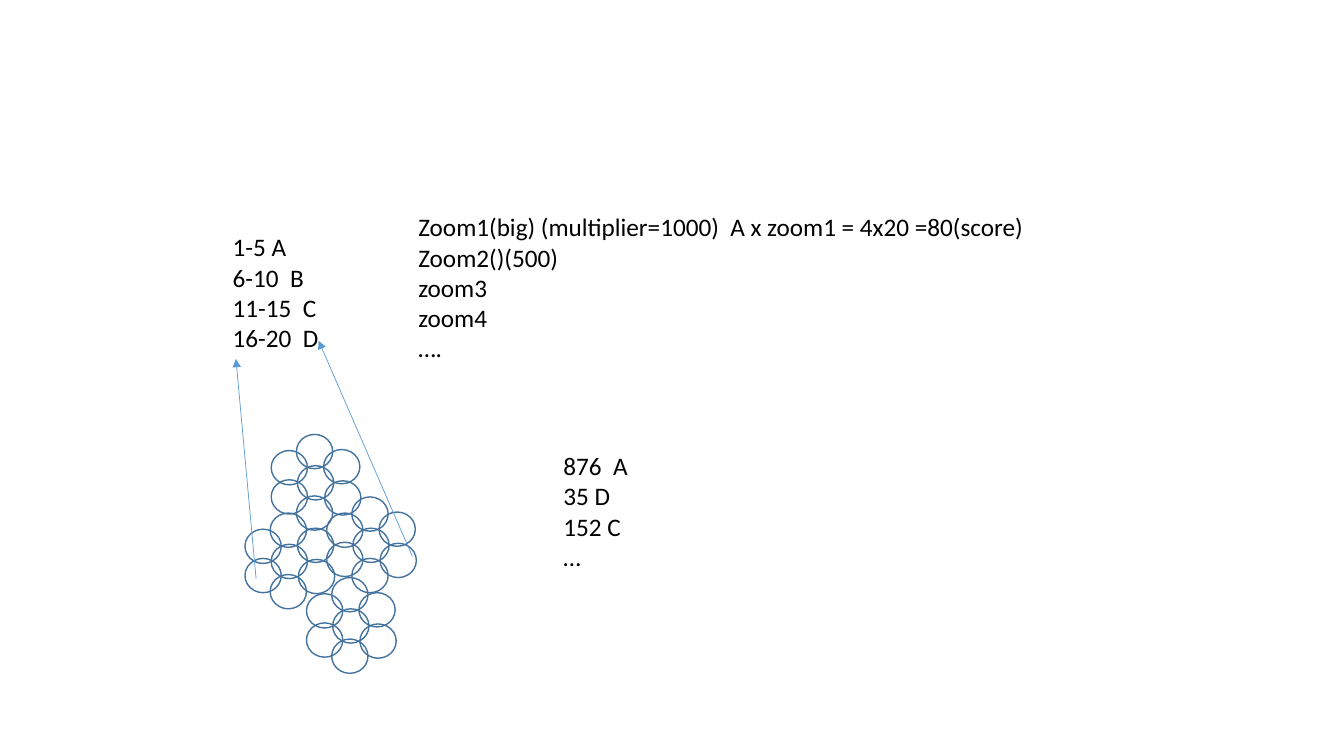
from pptx import Presentation
from pptx.dml.color import RGBColor
from pptx.enum import shapes, text
from pptx.oxml import parse_xml
from pptx.oxml.ns import nsdecls, qn
from pptx.util import Inches, Pt

BLACK = RGBColor(0x00, 0x00, 0x00)
CIRCLE_BLUE = RGBColor(0x43, 0x73, 0x9E)
ARROW_BLUE = RGBColor(0x5B, 0x9B, 0xD5)

presentation = Presentation()
presentation.slide_width = Inches(13.33)
presentation.slide_height = Inches(7.5)
slide = presentation.slides.add_slide(presentation.slide_layouts[6])

cluster_origins = [(2.94, 4.31), (2.68, 5.09), (3.49, 4.93), (3.29, 5.73)]
circle_offsets = [(0, 0), (0, 0.61), (0.01, 0.31), (0.27, 0.15),
                  (0.28, 0.46), (-0.25, 0.16), (-0.25, 0.45)]

for left, top in cluster_origins:
    cluster = slide.shapes.add_group_shape()
    for across, down in circle_offsets:
        circle = cluster.shapes.add_shape(
            shapes.MSO_SHAPE.OVAL, Inches(left + across), Inches(top + down),
            Inches(0.36), Inches(0.34))
        circle.shadow.inherit = False
        circle.fill.background()
        circle.line.color.rgb = CIRCLE_BLUE
        circle.line.width = Pt(1)

arrows = [(2.54, 5.74, 2.34, 3.56), (4.09, 5.52, 3.16, 3.38)]
for ends in arrows:
    arrow = slide.shapes.add_connector(
        shapes.MSO_CONNECTOR.STRAIGHT, *[Inches(end) for end in ends])
    arrow.line.color.rgb = ARROW_BLUE
    arrow.line.width = Pt(0.5)
    arrow.line._get_or_add_ln().append(
        parse_xml(f'<a:tailEnd {nsdecls("a")} type="triangle"/>'))
    arrow._element.find(qn("p:spPr")).append(
        parse_xml(f'<a:effectLst {nsdecls("a")}/>'))

notes = [
    (2.21, 2.25, 1.56, 1.31, "1-5 A\n6-10  B\n11-15  C\n16-20  D"),
    (4.05, 2.05, 7.32, 1.92,
     "Zoom1(big) (multiplier=1000)  A x zoom1 = 4x20 =80(score)\n"
     "Zoom2()(500)\vzoom3\vzoom4\v…."),
    (5.49, 4.42, 1.83, 1.31, "876  A\n35 D\n152 C\n…"),
]
for left, top, width, height, wording in notes:
    box = slide.shapes.add_textbox(
        Inches(left), Inches(top), Inches(width), Inches(height))
    frame = box.text_frame
    frame.word_wrap = True
    frame.vertical_anchor = text.MSO_ANCHOR.TOP
    frame.text = wording
    for paragraph in frame.paragraphs:
        for run in paragraph.runs:
            run.font.name = "Calibri"
            run.font.size = Pt(18)
            run.font.color.rgb = BLACK

presentation.save("out.pptx")
